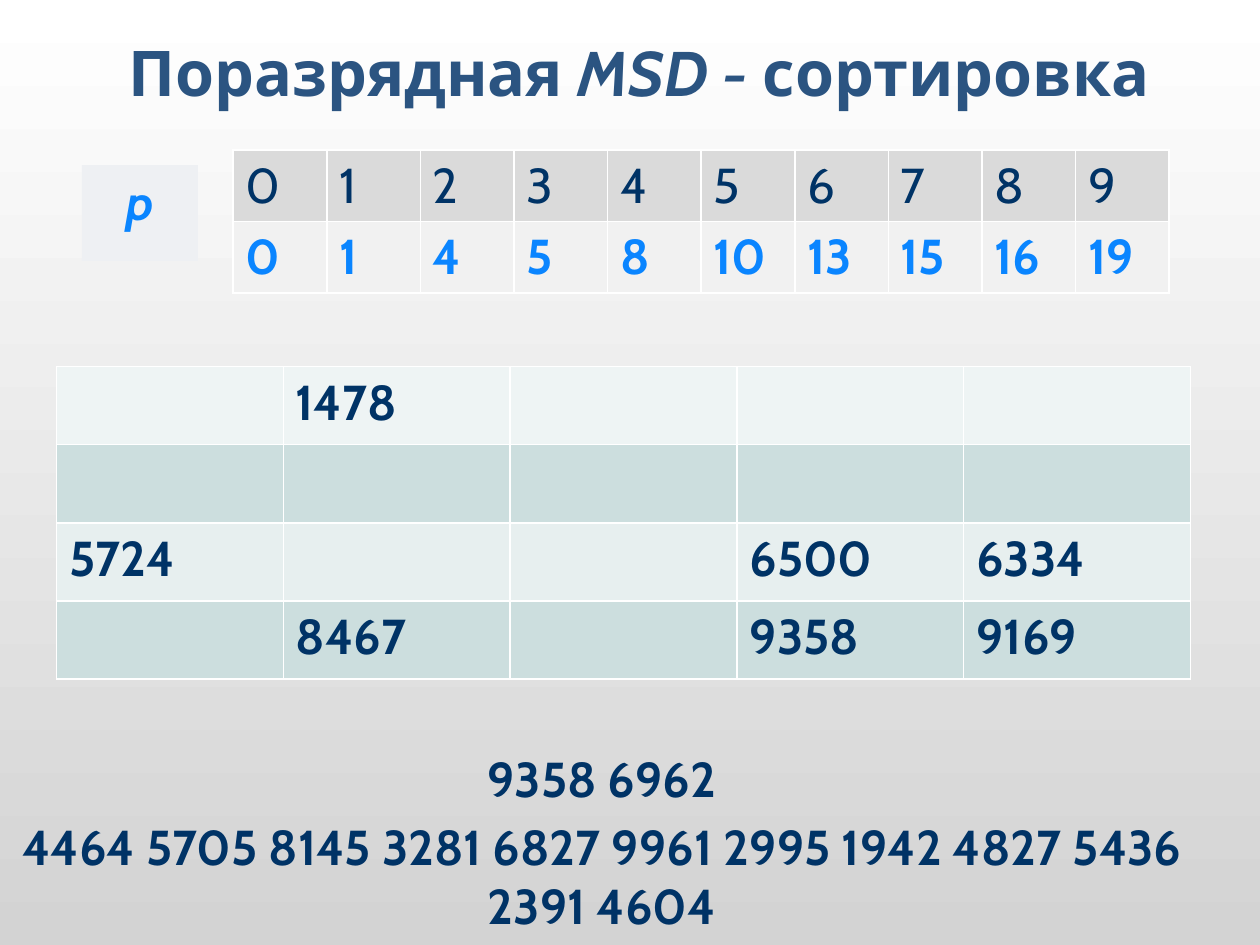
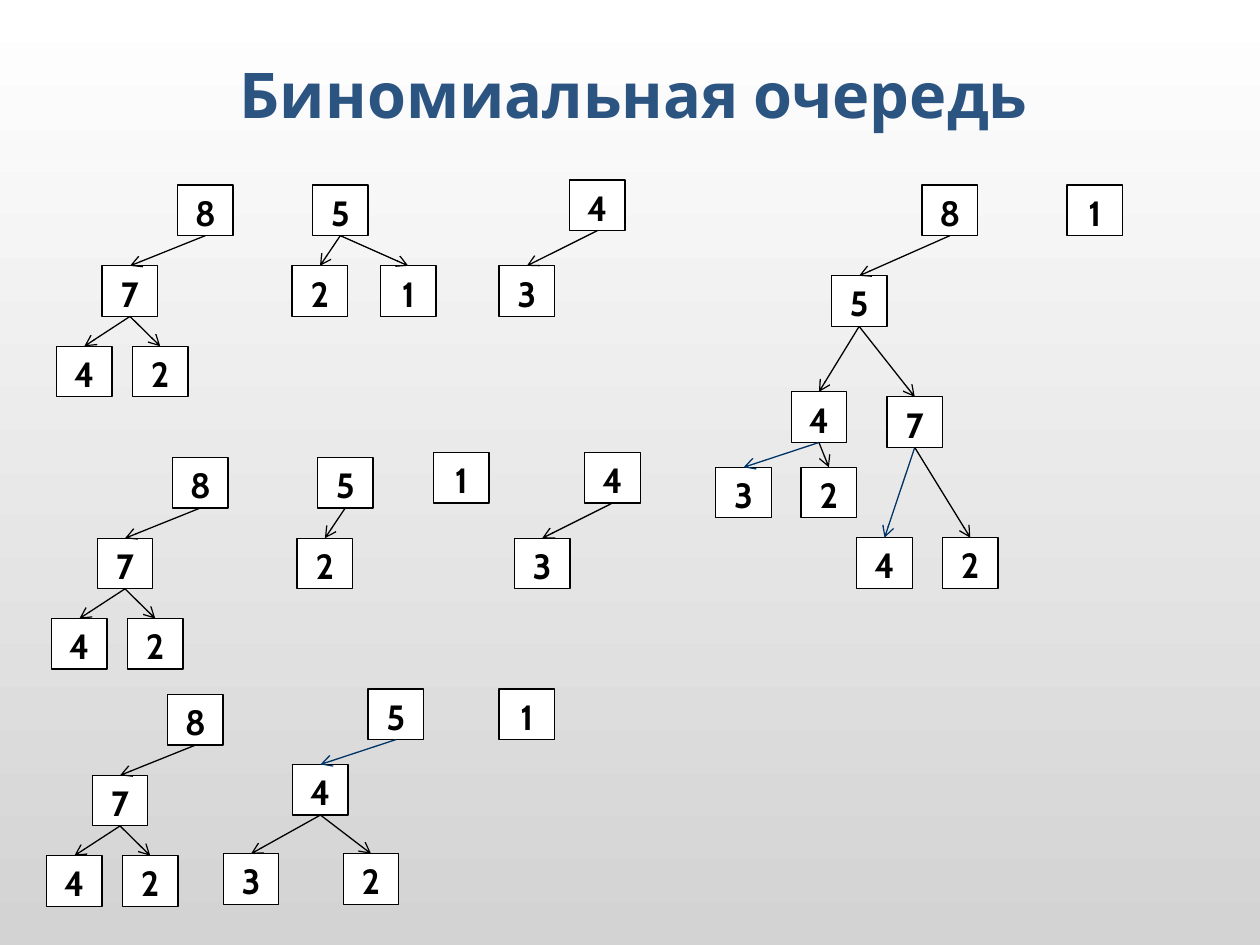
from dataclasses import dataclass
from typing import Any

import lxml.etree
import pptx
import pptx.dml.color
import pptx.enum.shapes
import pptx.enum.text
import pptx.oxml
import pptx.oxml.ns
import pptx.util

Cm = pptx.util.Cm
Pt = pptx.util.Pt
Align = pptx.enum.text.PP_ALIGN
Anchor = pptx.enum.text.MSO_ANCHOR

FONT = "Cabin"
TITLE = "2B5481"
NAVY = "003366"
AZURE = "0A85FF"
BLACK = "000000"
WHITE = "FFFFFF"
NODE_WIDTH, NODE_HEIGHT = 1.12, 1.02


@dataclass(frozen=True)
class Box:
    left: float
    top: float
    width: float
    height: float

    def lengths(self) -> tuple[int, ...]:
        return tuple(Cm(n) for n in (self.left, self.top, self.width, self.height))


@dataclass(frozen=True)
class Node:
    label: str
    dx: float
    dy: float
    children: tuple["Node", ...] = ()
    link: str = BLACK


@dataclass(frozen=True)
class Tree:
    left: float
    top: float
    label: str
    children: tuple[Node, ...] = ()


@dataclass(frozen=True)
class RowStyle:
    fill: str
    color: str = NAVY
    bold: bool = True


def rgb(color: str) -> pptx.dml.color.RGBColor:
    return pptx.dml.color.RGBColor.from_string(color)


def write(paragraph: Any, text: str, *, size: float = 28, color: str = NAVY,
          bold: bool = True, italic: bool = False, align: Any = Align.CENTER) -> None:
    paragraph.alignment = align
    run = paragraph.add_run()
    run.text = text
    run.font.name = FONT
    run.font.size = Pt(size)
    run.font.bold = bold
    run.font.italic = italic
    run.font.color.rgb = rgb(color)


def new_slide(prs: Any) -> Any:
    slide = prs.slides.add_slide(prs.slide_layouts[6])
    fill = slide.background.fill
    fill.gradient()
    fill.gradient_angle = 270
    for stop, color in zip(fill.gradient_stops, (WHITE, "D3D3D3")):
        stop.color.rgb = rgb(color)
    return slide


def add_text_frame(slide: Any, box: Box, anchor: Any = Anchor.TOP) -> Any:
    frame = slide.shapes.add_textbox(*box.lengths()).text_frame
    frame.word_wrap = True
    frame.vertical_anchor = anchor
    return frame


def add_title(slide: Any, box: Box, *parts: tuple[str, bool]) -> None:
    frame = add_text_frame(slide, box, Anchor.MIDDLE)
    for text, italic in parts:
        write(frame.paragraphs[0], text, size=36, color=TITLE, italic=italic)


def add_label_box(slide: Any, box: Box, label: str, fill: str,
                  outline: str | None = None, **text_format: Any) -> Any:
    rectangle = slide.shapes.add_shape(
        pptx.enum.shapes.MSO_SHAPE.RECTANGLE, *box.lengths())
    rectangle.shadow.inherit = False
    rectangle.fill.solid()
    rectangle.fill.fore_color.rgb = rgb(fill)
    if outline:
        rectangle.line.color.rgb = rgb(outline)
        rectangle.line.width = Pt(0.75)
    else:
        rectangle.line.fill.background()
    rectangle.text_frame.vertical_anchor = Anchor.TOP
    write(rectangle.text_frame.paragraphs[0], label, **text_format)
    return rectangle


def add_borders(cell: Any) -> None:
    properties = cell._tc.get_or_add_tcPr()
    for side in ("lnL", "lnR", "lnT", "lnB"):
        properties.append(pptx.oxml.parse_xml(
            f'<a:{side} {pptx.oxml.ns.nsdecls("a")} w="{Pt(1)}"><a:solidFill>'
            f'<a:srgbClr val="{WHITE}"/></a:solidFill></a:{side}>'))


def add_grid(slide: Any, box: Box, rows: list[list[str]], styles: list[RowStyle]) -> None:
    table = slide.shapes.add_table(len(rows), len(rows[0]), *box.lengths()).table
    table.first_row = False
    table.horz_banding = False
    for r, (values, style) in enumerate(zip(rows, styles)):
        for c, value in enumerate(values):
            cell = table.cell(r, c)
            add_borders(cell)
            cell.fill.solid()
            cell.fill.fore_color.rgb = rgb(style.fill)
            if value:
                write(cell.text_frame.paragraphs[0], value, color=style.color,
                      bold=style.bold, align=Align.LEFT)


def add_arrow(slide: Any, parent: Any, child: Any, color: str) -> None:
    arrow = slide.shapes.add_connector(
        pptx.enum.shapes.MSO_CONNECTOR.STRAIGHT, 0, 0, 0, 0)
    arrow.begin_connect(parent, 2)
    arrow.end_connect(child, 0)
    arrow.line.color.rgb = rgb(color)
    arrow.line.width = Pt(0.75)
    tag = pptx.oxml.ns.qn
    lxml.etree.SubElement(arrow.line._get_or_add_ln(), tag("a:tailEnd"), type="arrow")
    lxml.etree.SubElement(arrow._element.spPr, tag("a:effectLst"))


def add_tree(slide: Any, left: float, top: float, label: str,
             children: tuple[Node, ...]) -> Any:
    box = Box(left, top, NODE_WIDTH, NODE_HEIGHT)
    parent = add_label_box(slide, box, label, WHITE, BLACK, size=20, color=BLACK)
    for node in children:
        child = add_tree(slide, left + node.dx, top + node.dy, node.label, node.children)
        add_arrow(slide, parent, child, node.link)
    return parent


def build_msd_sort(prs: Any) -> None:
    slide = new_slide(prs)
    add_grid(slide, Box(1.14, 7.39, 22.86, 6.3),
             [["", "1478", "", "", ""],
              [""] * 5,
              ["5724", "", "", "6500", "6334"],
              ["", "8467", "", "9358", "9169"]],
             [RowStyle(fill) for fill in ("EEF4F4", "CCDEDE", "E7EFEF", "CCDEDE")])
    add_title(slide, Box(1.45, 0.81, 22.86, 1.27),
              ("Поразрядная ", False), ("MSD - ", True), ("сортировка", False))
    add_label_box(slide, Box(1.65, 3.33, 2.34, 1.93), "p", "EEF0F3",
                  color=AZURE, italic=True)
    add_grid(slide, Box(4.7, 3.02, 18.87, 2.46),
             [[str(digit) for digit in range(10)],
              "0 1 4 5 8 10 13 15 16 19".split()],
             [RowStyle("DADADA", bold=False), RowStyle("F1F1F1", AZURE)])
    numbers = add_text_frame(slide, Box(0, 14.96, 24.26, 4.09))
    write(numbers.paragraphs[0], "9358 6962")
    remaining = numbers.add_paragraph()
    remaining.space_before = Pt(5.6)
    write(remaining, "4464 5705 8145 3281 6827 9961 2995 1942 4827 5436 2391 4604")


def build_binomial_queue(prs: Any) -> None:
    slide = new_slide(prs)
    add_title(slide, Box(1.35, 0.51, 22.86, 2.74), ("Биномиальная очередь", False))
    under_eight = (Node("7", -1.52, 1.63, (Node("4", -0.92, 1.62), Node("2", 0.61, 1.62))),)
    under_four = (Node("3", -1.42, 1.73),)
    two = Node("2", -0.41, 1.63)
    merged_four = Node("4", -1.52, 1.52, (Node("3", -1.4, 1.8), Node("2", 1.02, 1.8)), NAVY)
    merged_five = Node("5", -1.83, 1.83, (
        Node("4", -0.81, 2.34, (Node("3", -1.52, 1.52, link=NAVY), Node("2", 0.2, 1.52))),
        Node("7", 1.12, 2.44, (Node("4", -0.61, 2.84, link=NAVY), Node("2", 1.12, 2.84))),
    ))
    forest = [
        Tree(3.58, 3.73, "8", under_eight),
        Tree(6.3, 3.73, "5", (two, Node("1", 1.37, 1.63))),
        Tree(11.48, 3.63, "4", under_four),
        Tree(3.48, 9.22, "8", under_eight),
        Tree(6.4, 9.22, "5", (two,)),
        Tree(8.74, 9.12, "1"),
        Tree(11.79, 9.12, "4", under_four),
        Tree(3.38, 14, "8", under_eight),
        Tree(7.42, 13.89, "5", (merged_four,)),
        Tree(10.06, 13.89, "1"),
        Tree(18.59, 3.73, "8", (merged_five,)),
        Tree(21.51, 3.73, "1"),
    ]
    for tree in forest:
        add_tree(slide, tree.left, tree.top, tree.label, tree.children)


def main() -> None:
    prs = pptx.Presentation()
    prs.slide_width = Cm(25.4)
    prs.slide_height = Cm(19.05)
    build_msd_sort(prs)
    build_binomial_queue(prs)
    prs.save("out.pptx")


if __name__ == "__main__":
    main()
